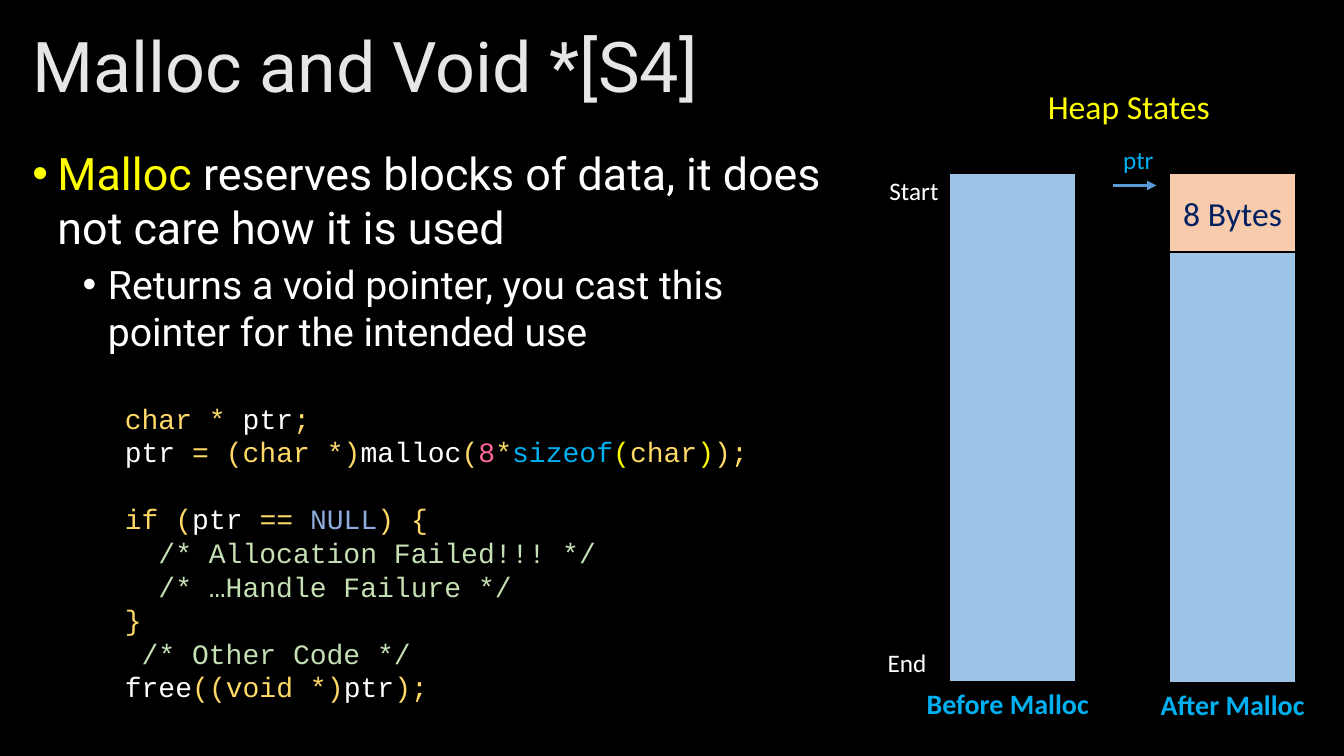
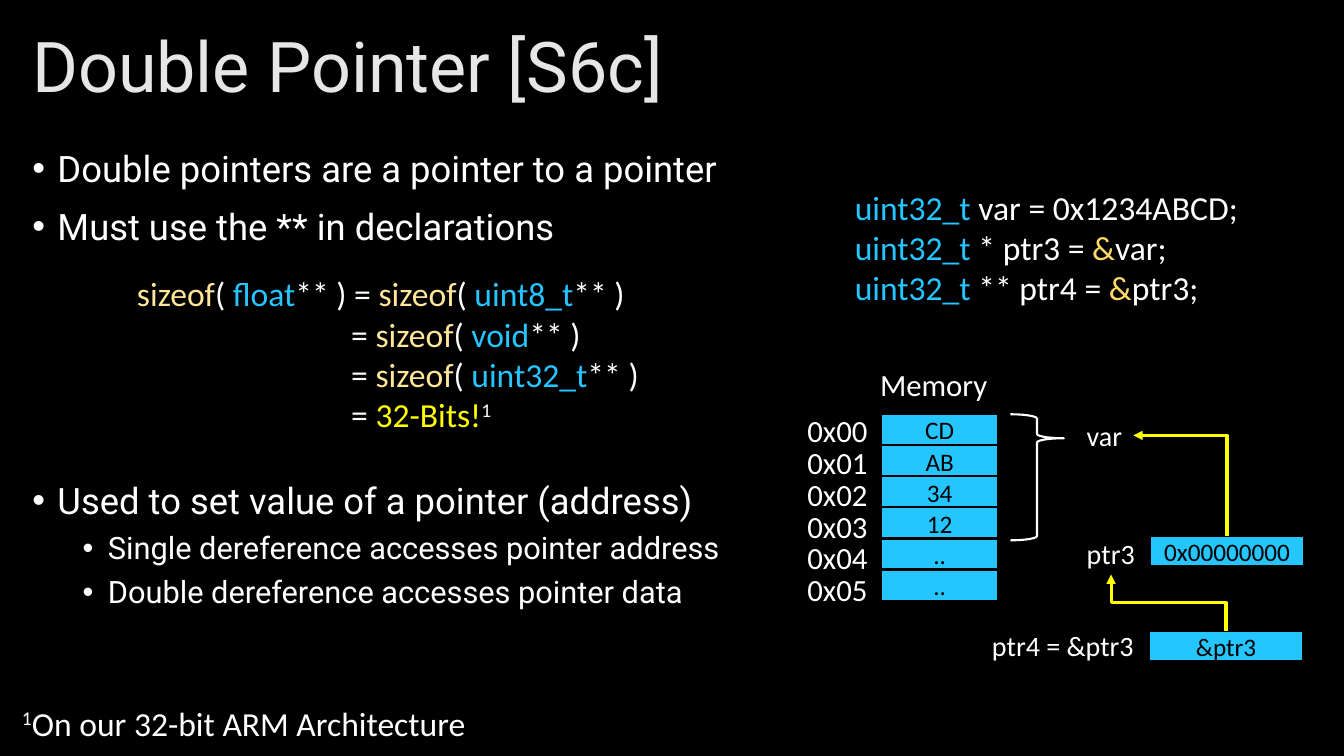
from dataclasses import dataclass

from pptx import Presentation
from pptx.dml.color import RGBColor
from pptx.enum.shapes import MSO_CONNECTOR, MSO_SHAPE
from pptx.enum.text import MSO_ANCHOR, MSO_AUTO_SIZE, PP_ALIGN
from pptx.oxml.ns import qn
from pptx.util import Inches, Pt

LEFT, CENTER, RIGHT = PP_ALIGN.LEFT, PP_ALIGN.CENTER, PP_ALIGN.RIGHT
TOP, MIDDLE = MSO_ANCHOR.TOP, MSO_ANCHOR.MIDDLE
NO_FIT = MSO_AUTO_SIZE.NONE
RECTANGLE, BRACE = MSO_SHAPE.RECTANGLE, MSO_SHAPE.LEFT_BRACE
STRAIGHT, ELBOW = MSO_CONNECTOR.STRAIGHT, MSO_CONNECTOR.ELBOW

COLORS = {
    "black": "000000", "white": "FFFFFF", "title": "E7E6E6",
    "yellow": "FFFF00", "gold": "FFD966", "cream": "FFE699",
    "cyan": "25C6FF", "sky": "00B0F0", "blue": "5B9BD5",
    "heap": "9DC3E6", "block": "F8CBAD", "navy": "002060",
    "pink": "FF6699", "null": "8FAADC", "comment": "C5E0B4",
}
HEADING, PLAIN, CODE = "Roboto", "Calibri", "Courier New"
UNIT = 0.1  # one grid column or row, in inches


@dataclass
class Box:
    """A region in grid columns and rows."""
    x: float
    y: float
    w: float
    h: float

    def inner(self, x, y, w, h):
        return Box(self.x + x, self.y + y, w, h)

    def lengths(self):
        return [Inches(v * UNIT) for v in (self.x, self.y, self.w, self.h)]


@dataclass
class Line:
    """A paragraph: spans are (text, colour) or (text, colour, is_raised)."""
    spans: list
    size: float = 0
    level: int = 0
    before: float = 0
    margin: float = 0  # points


def color(name):
    return RGBColor.from_string(COLORS[name])


# Text
def write(frame, lines, size=18, font=PLAIN, ink="white", align=LEFT,
          bold=False, anchor=TOP, wrap=True, spacing=None):
    frame.word_wrap = wrap
    frame.auto_size = NO_FIT
    frame.vertical_anchor = anchor
    if isinstance(lines, str):
        lines = [Line([(lines, ink)])]
    for number, line in enumerate(lines):
        para = frame.paragraphs[0] if number == 0 else frame.add_paragraph()
        para.alignment = align
        para.level = line.level
        para.line_spacing = spacing
        para.space_before = Pt(line.before)
        if line.margin:
            para._p.get_or_add_pPr().set("marL", str(Pt(line.margin)))
        for text, tint, *raised in line.spans:
            span = para.add_run()
            span.text = text
            span.font.size = Pt(line.size or size)
            span.font.name = font
            span.font.bold = bold
            span.font.color.rgb = color(tint)
            if raised:
                span.font._element.set("baseline", "30000")


def add_text(page, box, lines, **style):
    write(page.shapes.add_textbox(*box.lengths()).text_frame, lines, **style)


# Shapes and arrows
def add_block(page, box, fill, text="", weight=1.5, **style):
    shape = page.shapes.add_shape(RECTANGLE, *box.lengths())
    shape.shadow.inherit = False
    shape.fill.solid()
    shape.fill.fore_color.rgb = color(fill)
    shape.line.color.rgb = color("black")
    shape.line.width = Pt(weight)
    if text:
        write(shape.text_frame, text, align=CENTER, anchor=MIDDLE, **style)


def add_arrow(page, start, end, tint, kind=STRAIGHT):
    points = [Inches(v * UNIT) for v in (*start, *end)]
    arrow = page.shapes.add_connector(kind, *points)
    arrow.line.color.rgb = color(tint)
    arrow.line.width = Pt(2.25)
    properties = arrow._element.spPr
    head = properties.find(qn("a:ln")).makeelement(
        qn("a:tailEnd"), {"type": "triangle"})
    properties.find(qn("a:ln")).append(head)
    properties.append(properties.makeelement(qn("a:effectLst"), {}))
    return arrow


def add_rising_arrow(page, start, end, tint, preset):
    """An elbow that leaves upward and ends up and to the left."""
    middle_x, middle_y = (start[0] + end[0]) / 2, (start[1] + end[1]) / 2
    across, rise = (start[0] - end[0]) / 2, (start[1] - end[1]) / 2
    # The elbow is laid out sideways, then turned a quarter to the left
    arrow = add_arrow(page, (middle_x - rise, middle_y + across),
                      (middle_x + rise, middle_y - across), tint, ELBOW)
    properties = arrow._element.spPr
    properties.find(qn("a:xfrm")).set("rot", "16200000")
    properties.find(qn("a:prstGeom")).set("prst", preset)


# Title and list
def add_page(deck, title, lines, body_box):
    page = deck.slides.add_slide(deck.slide_layouts[1])
    heading, body = page.placeholders
    for holder, box in ((heading, Box(2.2, 2.1, 128.9, 9.7)),
                        (body, body_box)):
        holder.left, holder.top, holder.width, holder.height = box.lengths()
    write(heading.text_frame, title, size=50, font=HEADING, ink="title",
          anchor=MIDDLE, spacing=0.9)
    write(body.text_frame, lines, font=HEADING)
    for para in body.text_frame.paragraphs:
        layout = para._p.get_or_add_pPr()
        layout.set("marL", str(Inches(0.25 + 0.5 * para.level)))
        layout.set("indent", str(Inches(-0.25)))
        for tag, values in (("a:buFont", {"typeface": "Arial"}),
                            ("a:buChar", {"char": "•"})):
            layout.append(layout.makeelement(qn(tag), values))
    return page


# Heap states: two columns of memory
def add_heap(page, box):
    add_text(page, box.inner(12.1, 0, 26.9, 5), "Heap States", size=24,
             ink="yellow", align=CENTER)
    for text, x, y in (("Start", 0.7, 8.9), ("End", 0, 55.7)):
        add_text(page, box.inner(x, y, 7.1, 4), text, align=CENTER)
    columns = (
        (7.8, [("heap", 50.4, "")], "Before Malloc", 2.1, 22.9),
        (29.6, [("block", 7.8, "8 Bytes"), ("heap", 42.7, "")],
         "After Malloc", 26.6, 18.5),
    )
    for x, blocks, caption, caption_x, caption_w in columns:
        y = 9.2
        for fill, height, text in blocks:
            add_block(page, box.inner(x, y, 12.5, height), fill, text,
                      weight=1, size=24, ink="navy")
            y += height
        add_text(page, box.inner(caption_x, y, caption_w, 4.4), caption,
                 size=20, ink="sky", bold=True, align=CENTER)
    add_text(page, box.inner(22.2, 5.8, 6.8, 4), "ptr", ink="sky", align=RIGHT)
    y = box.y + 10.4
    add_arrow(page, (box.x + 24, y), (box.x + 28.3, y), "blue")


def add_malloc_code(page, box):
    add_text(page, box, [
        Line([("char * ", "gold"), ("ptr", "white"), (";", "gold")]),
        Line([("ptr", "white"), (" = (char *)", "gold"), ("malloc", "white"),
              ("(", "gold"), ("8", "pink"), ("*", "gold"), ("sizeof", "sky"),
              ("(", "yellow"), ("char", "gold"), (")", "yellow"),
              (");", "gold")]),
        Line([("if (", "gold"), ("ptr ", "white"), ("== ", "gold"),
              ("NULL", "null"), (") {", "gold")], before=24),
        Line([("/* Allocation Failed!!! */", "comment")], margin=24),
        Line([("/* …Handle Failure */", "comment")], margin=24),
        Line([("}", "gold")]),
        Line([("/* Other Code */", "comment")], margin=12),
        Line([("free", "white"), ("((void *)", "gold"), ("ptr", "white"),
              (");", "gold")]),
    ], size=20, font=CODE)


# Double pointer: sizes, declarations and memory
def sizeof(kind):
    return [("sizeof", "cream"), ("( ", "white"), (kind, "cyan")]


def add_sizes(page, box):
    close, equals = ("** )", "white"), ("= ", "white")
    rows = [[equals, *sizeof(kind), close] for kind in ("void", "uint32_t")]
    rows.append([equals, ("32-Bits!", "yellow"), ("1", "white", True)])
    first = [*sizeof("float"), ("** ) = ", "white"), *sizeof("uint8_t"), close]
    add_text(page, box, [Line(first)] + [Line(row, margin=153) for row in rows],
             size=24, wrap=False)


def add_declarations(page, box):
    kind = ("uint32_t", "cyan")
    add_text(page, box, [
        Line([kind, (" var = 0x1234ABCD;", "white")]),
        Line([kind, (" * ptr3 = ", "white"), ("&", "gold"), ("var;", "white")]),
        Line([kind, (" ** ptr4 = ", "white"), ("&", "gold"),
              ("ptr3;", "white")]),
    ], size=24)


def add_memory(page, box):
    add_text(page, box.inner(7.2, 0, 12.8, 4.7), "Memory", size=22, wrap=False)
    for row, value in enumerate(("CD", "AB", "34", "12", "..", "..")):
        add_text(page, box.inner(0, 4.6 + 3.15 * row, 8, 4.7), f"0x{row:02}",
                 size=22, wrap=False)
        add_block(page, box.inner(8.3, 5.3 + 3.08 * row, 11.6, 3.1), "cyan",
                  value, ink="black")
    brace = page.shapes.add_shape(
        BRACE, *box.inner(21.1, 5.3, 5.3, 12.5).lengths())
    brace.rotation = 180
    brace.adjustments[0], brace.adjustments[1] = 0.08, 0.81
    brace.shadow.inherit = False
    brace.fill.background()
    brace.line.color.rgb = color("white")
    brace.line.width = Pt(1.5)


def add_pointers(page, box):
    for text, x, y, width in (("var", 9.4, 0, 5.6), ("ptr3", 9.4, 11.7, 6.8),
                              ("ptr4 = &ptr3", 0, 20.9, 16.9)):
        add_text(page, box.inner(x, y, width, 4.4), text, size=20, wrap=False)
    for text, x, y in (("0x00000000", 16.7, 12.2), ("&ptr3", 16.6, 21.6)):
        add_block(page, box.inner(x, y, 15.2, 3), "cyan", text, ink="black")
    for start, end, preset in (
            ((24.2, 21.6), (12.8, 16), "bentConnector3"),
            ((24.3, 12.2), (15, 2.2), "bentConnector2")):
        add_rising_arrow(page, (box.x + start[0], box.y + start[1]),
                         (box.x + end[0], box.y + end[1]), "yellow", preset)


def malloc_page(deck):
    page = add_page(deck, "Malloc and Void *[S4]", [
        Line([("Malloc ", "yellow"), ("reserves blocks of data, it does not "
              "care how it is used", "white")], size=32, before=10),
        Line([("Returns a void pointer, you cast this pointer for the "
               "intended use", "white")], size=28, level=1, before=5),
    ], Box(2.2, 14, 81.3, 47.7))
    add_heap(page, Box(86.4, 8, 45.1, 64.1))
    add_malloc_code(page, Box(11.4, 39.3, 73.3, 34.7))


def double_pointer_page(deck):
    rows = (
        ("Double pointers are a pointer to a pointer", 0, 10),
        ("Must use the ** in declarations", 0, 10),
        ("Used to set value of a pointer (address)", 0, 165),
        ("Single dereference accesses pointer address", 1, 5),
        ("Double dereference accesses pointer data", 1, 5),
    )
    lines = [Line([(text, "white")], size=26 - 4 * level, level=level,
                  before=before) for text, level, before in rows]
    page = add_page(deck, "Double Pointer [S6c]", lines,
                    Box(2.2, 14, 71.2, 48.2))
    add_sizes(page, Box(12.6, 26.6, 52.2, 17.2))
    add_text(page, Box(1.2, 69.2, 46.6, 5), [
        Line([("1", "white", True),
              ("On our 32-bit ARM Architecture", "white")])],
        size=24, wrap=False)
    add_declarations(page, Box(83.8, 18, 43.4, 13.1))
    add_memory(page, Box(79.1, 35.8, 26.4, 24))
    add_pointers(page, Box(97.4, 41, 31.9, 25.3))


def main():
    deck = Presentation()
    deck.slide_width, deck.slide_height = Inches(13.33), Inches(7.5)
    backdrop = deck.slide_master.background.fill
    backdrop.solid()
    backdrop.fore_color.rgb = color("black")
    malloc_page(deck)
    double_pointer_page(deck)
    deck.save("out.pptx")


if __name__ == "__main__":
    main()
